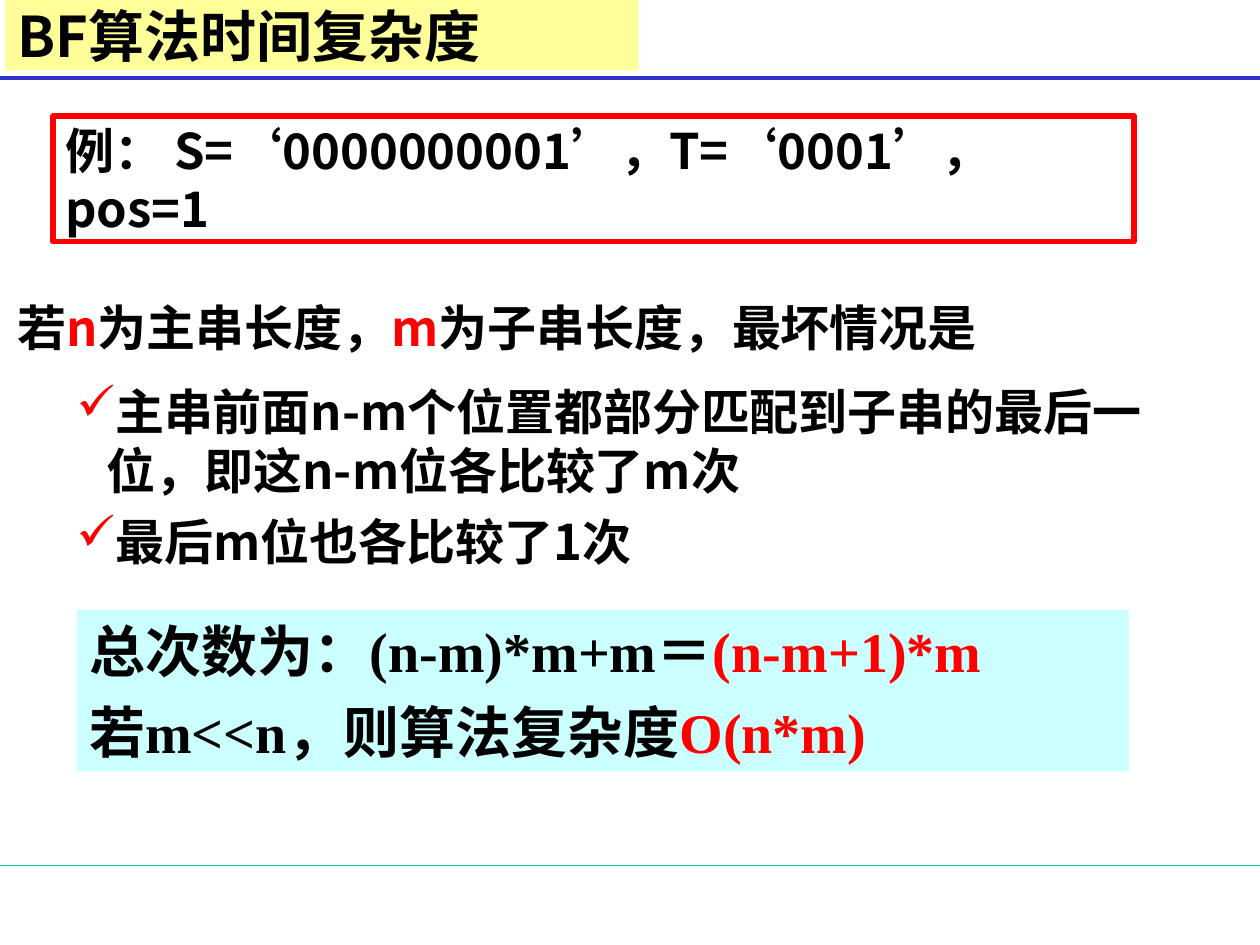
from lxml.etree import SubElement
from pptx import Presentation
from pptx.dml.color import RGBColor
from pptx.enum.lang import MSO_LANGUAGE_ID as Language
from pptx.enum.shapes import MSO_CONNECTOR as Connector, MSO_SHAPE as Shape
from pptx.enum.text import MSO_ANCHOR as Anchor, PP_ALIGN as Align
from pptx.oxml.ns import qn
from pptx.util import Inches, Pt

HAN = "Noto Sans CJK SC"
SERIF = "Times New Roman"
BLACK, RED = "000000", "FF0000"


def colour(value):
    return RGBColor.from_string(value)


def span(text, color=BLACK):
    return text, color


def write(box, paragraphs, size=28, font=HAN, gap=0, anchor=Anchor.TOP, bullet=None):
    frame = box.text_frame
    frame.word_wrap = True
    frame.vertical_anchor = anchor
    for index, spans in enumerate(paragraphs):
        para = frame.add_paragraph() if index else frame.paragraphs[0]
        para.alignment = Align.LEFT
        para.line_spacing = Pt(round(size * 1.2, 1))
        para.space_before = Pt(gap if index else 0)
        if bullet:
            add_bullet(para, bullet)
        for text, color in spans:
            run = para.add_run()
            run.text = text
            run.font.size = Pt(size)
            run.font.bold = True
            run.font.name = font
            run.font.language_id = Language.SIMPLIFIED_CHINESE
            run.font.color.rgb = colour(color)
            SubElement(run.font._element, qn("a:ea")).set("typeface", HAN)


def add_bullet(para, mark):
    props = para._p.get_or_add_pPr()
    hang = Inches(0.24)
    props.set("marL", str(hang))
    props.set("indent", str(-hang))
    tint = SubElement(props, qn("a:buClr"))
    SubElement(tint, qn("a:srgbClr")).set("val", RED)
    SubElement(props, qn("a:buChar")).set("char", mark)


class SlideBuilder:
    """Holds the current slide and draws its elements in one style."""

    def __init__(self, page, background):
        self.page = page
        page.background.fill.solid()
        page.background.fill.fore_color.rgb = colour(background)

    def rule(self, top, color, width):
        line = self.page.shapes.add_connector(
            Connector.STRAIGHT, Inches(0), Inches(top), Inches(10), Inches(top))
        line.line.color.rgb = colour(color)
        line.line.width = Pt(width)
        SubElement(line._element.spPr, qn("a:effectLst"))

    def text(self, place, paragraphs, **style):
        box = self.page.shapes.add_textbox(*map(Inches, place))
        write(box, paragraphs, **style)

    def panel(self, place, paragraphs, fill=None, border=None, **style):
        box = self.page.shapes.add_shape(Shape.RECTANGLE, *map(Inches, place))
        box.shadow.inherit = False
        if fill:
            box.fill.solid()
            box.fill.fore_color.rgb = colour(fill)
        else:
            box.fill.background()
        if border:
            box.line.color.rgb = colour(border)
            box.line.width = Pt(3)
        else:
            box.line.fill.background()
        write(box, paragraphs, **style)


def main():
    deck = Presentation()
    deck.slide_width, deck.slide_height = Inches(10), Inches(7.5)
    slide = SlideBuilder(deck.slides.add_slide(deck.slide_layouts[6]), "FEFFFF")

    slide.rule(6.87, "00CC99", 0.75)
    slide.rule(0.62, "3333CC", 2.25)
    slide.text((0.04, 2.31, 9.22, 0.61), [[
        span("若"), span("n", RED), span("为主串长度，"),
        span("m", RED), span("为子串长度，最坏情况是"),
    ]])
    slide.panel((0.04, 0, 5.03, 0.56), [[span("BF算法时间复杂度")]],
                fill="FFFF99", size=32, anchor=Anchor.MIDDLE)
    slide.text((0.51, 2.98, 8.75, 1.6), [
        [span("主串前面n-m个位置都部分匹配到子串的最后一位，即这n-m位各比较了m次")],
        [span("最后m位也各比较了1次")],
    ], gap=7, bullet="✓")
    slide.panel((0.61, 4.84, 8.35, 1.28), [
        [span("总次数为：(n-m)*m+m＝"), span("(n-m+1)*m", RED)],
        [span("若m<<n，则算法复杂度"), span("O(n*m)", RED)],
    ], fill="CCFFFF", size=32, font=SERIF, gap=8)
    example = ["例： S=", "‘", "0000000001", "’", "，T=", "‘", "0001", "’", "，pos=1"]
    slide.panel((0.42, 0.92, 8.58, 1), [[span(part) for part in example]],
                border=RED, anchor=Anchor.MIDDLE)
    deck.save("out.pptx")


if __name__ == "__main__":
    main()
